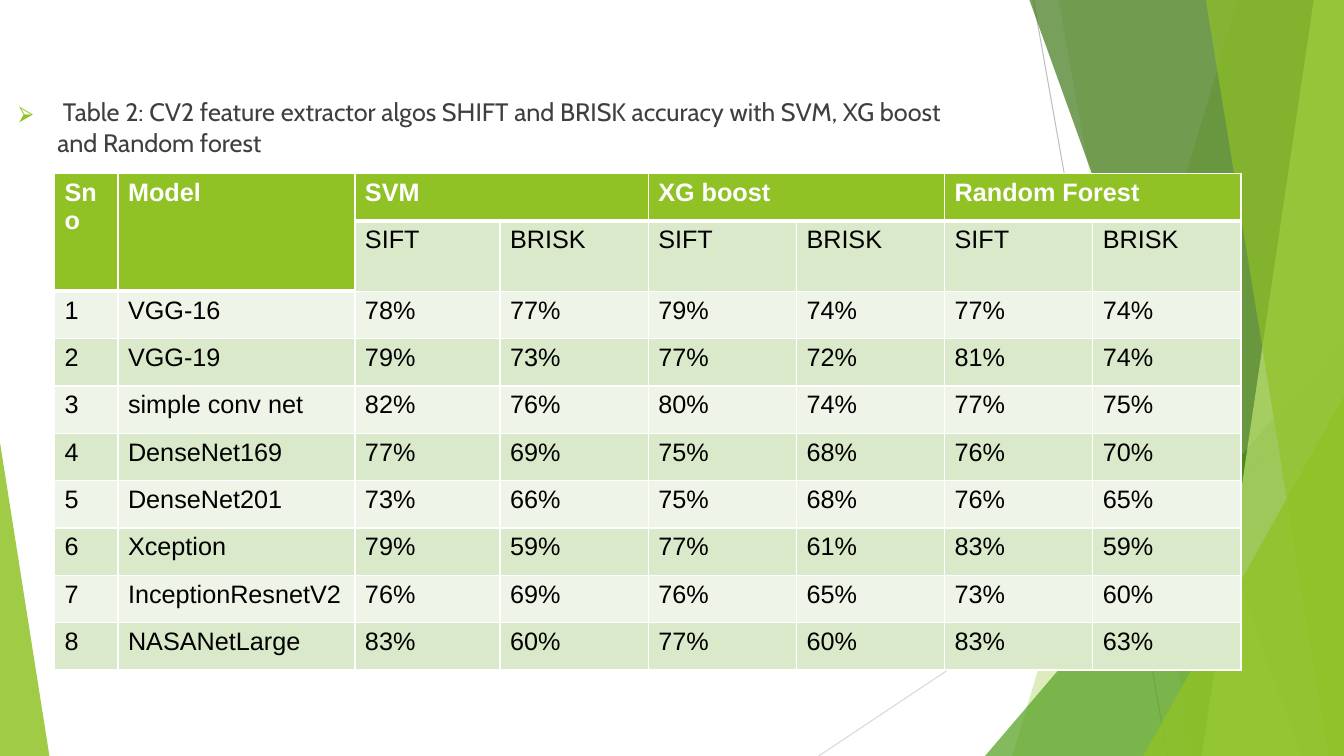
from pptx import Presentation
from pptx.dml.color import RGBColor
from pptx.enum.shapes import MSO_CONNECTOR, MSO_SHAPE
from pptx.oxml.ns import qn
from pptx.util import Inches, Pt
from lxml.etree import SubElement

WIDTH, HEIGHT = 13.33, 7.5
GREEN, BAND, PALE, WHITE = "90C226", "DBE9CB", "EEF4E7", "FFFFFF"
COLUMN_WIDTHS = [0.63, 2.35, 1.44] + [1.47] * 5
ROW_HEIGHTS = [0.47, 0.66] + [0.47] * 8
CLASSIFIERS = ["SVM", "XG boost", "Random Forest"]
EXTRACTORS = ["SIFT", "BRISK"]
ACCURACY = {
    "VGG-16": [78, 77, 79, 74, 77, 74],
    "VGG-19": [79, 73, 77, 72, 81, 74],
    "simple conv net": [82, 76, 80, 74, 77, 75],
    "DenseNet169": [77, 69, 75, 68, 76, 70],
    "DenseNet201": [73, 66, 75, 68, 76, 65],
    "Xception": [79, 59, 77, 61, 83, 59],
    "InceptionResnetV2": [76, 69, 76, 65, 73, 60],
    "NASANetLarge": [83, 60, 77, 60, 83, 63],
}


def rgb(color):
    return RGBColor.from_string(color)


def paint(shape, color, opacity):
    """Plain translucent fill without outline or shadow."""
    shape.shadow.inherit = False
    shape.line.fill.background()
    shape.fill.solid()
    shape.fill.fore_color.rgb = rgb(color)
    color_node = shape.fill._xPr.find(qn("a:solidFill"))[0]
    SubElement(color_node, qn("a:alpha"), val=str(opacity * 1000))


def add_hairline(slide, start, end, color):
    points = [Inches(value) for value in start + end]
    line = slide.shapes.add_connector(MSO_CONNECTOR.STRAIGHT, *points)
    line.line.color.rgb = rgb(color)
    line.line.width = Pt(0.75)
    SubElement(line._element.spPr, qn("a:effectLst"))


def add_facet(slide, top_x, bottom_x, color, opacity):
    """Full-height panel from a slanted left side to the right edge."""
    builder = slide.shapes.build_freeform(Inches(top_x), 0)
    corners = [(WIDTH, 0), (WIDTH, HEIGHT), (bottom_x, HEIGHT)]
    builder.add_line_segments([(Inches(x), Inches(y)) for x, y in corners])
    paint(builder.convert_to_shape(), color, opacity)


def add_corner(slide, left, top, width, apex, color, opacity):
    """Triangle standing on the bottom edge."""
    shape = slide.shapes.add_shape(
        MSO_SHAPE.ISOSCELES_TRIANGLE,
        Inches(left), Inches(top), Inches(width), Inches(HEIGHT - top))
    shape.adjustments[0] = apex
    paint(shape, color, opacity)


def add_caption(slide, text):
    box = slide.shapes.add_textbox(
        Inches(0.09), Inches(0.91), Inches(9.4), Inches(0.8))
    box.text_frame.word_wrap = True
    paragraph = box.text_frame.paragraphs[0]
    paragraph.text = text
    paragraph.font.name, paragraph.font.size = "Cabin", Pt(18)
    paragraph.font.color.rgb = rgb("3F3F3F")
    # Green arrow bullet with a hanging indent
    properties = paragraph._p.get_or_add_pPr()
    properties.set("marL", str(Inches(0.38)))
    properties.set("indent", str(-Inches(0.38)))
    bullet = [("buClr", {}), ("buSzPct", {"val": "80000"}),
              ("buFont", {"typeface": "Noto Sans Symbols"}),
              ("buChar", {"char": "⮚"})]
    for position, (tag, attributes) in enumerate(bullet):
        node = SubElement(properties, qn("a:" + tag), attributes)
        properties.insert(position, node)
    SubElement(properties.find(qn("a:buClr")), qn("a:srgbClr"), val=GREEN)


def set_borders(cell, bottom):
    properties = cell._tc.get_or_add_tcPr()
    for position, side in enumerate("LRTB"):
        width = bottom if side == "B" else 1
        line = SubElement(properties, qn("a:ln" + side), w=str(Pt(width)))
        fill = SubElement(line, qn("a:solidFill"))
        SubElement(fill, qn("a:srgbClr"), val=WHITE)
        properties.insert(position, line)


def style_cell(cell, text, fill, heading):
    cell.text = text
    cell.fill.solid()
    cell.fill.fore_color.rgb = rgb(fill)
    font = cell.text_frame.paragraphs[0].font
    font.name, font.size, font.bold = "Arial", Pt(18), heading
    font.color.rgb = rgb(WHITE if heading else "000000")
    set_borders(cell, 3 if heading else 1)


def add_accuracy_table(slide):
    header = ["Sno", "Model"]
    for classifier in CLASSIFIERS:
        header += [classifier, ""]
    rows = [header, ["", ""] + EXTRACTORS * len(CLASSIFIERS)]
    for number, (model, values) in enumerate(ACCURACY.items(), 1):
        rows.append([str(number), model] + [f"{value}%" for value in values])

    table = slide.shapes.add_table(
        len(rows), len(header), Inches(0.54), Inches(1.72),
        Inches(sum(COLUMN_WIDTHS)), Inches(sum(ROW_HEIGHTS))).table
    for column, width in zip(table.columns, COLUMN_WIDTHS):
        column.width = Inches(width)
    for row, height in zip(table.rows, ROW_HEIGHTS):
        row.height = Inches(height)
    for r, row in enumerate(rows):
        for c, text in enumerate(row):
            heading = r == 0 or (r == 1 and c < 2)
            fill = GREEN if heading else BAND if r % 2 else PALE
            style_cell(table.cell(r, c), text, fill, heading)
    # Number and model span two rows, each classifier two columns
    for c in (0, 1):
        table.cell(0, c).merge(table.cell(1, c))
    for c in range(2, len(header), 2):
        table.cell(0, c).merge(table.cell(0, c + 1))


def main():
    presentation = Presentation()
    presentation.slide_width = Inches(WIDTH)
    presentation.slide_height = Inches(HEIGHT)
    slide = presentation.slides.add_slide(presentation.slide_layouts[6])

    # Faceted backdrop, back to front
    add_hairline(slide, (10.25, 0), (11.58, HEIGHT), "BFBFBF")
    add_hairline(slide, (WIDTH, 4.03), (8.12, HEIGHT), "D8D8D8")
    add_facet(slide, 12.28, 10.04, GREEN, 30)
    add_facet(slide, 10.5, 11.83, GREEN, 20)
    add_corner(slide, 9.77, 3.33, 3.56, 1, "54A021", 72)
    add_facet(slide, 10.21, 12.91, "3F7818", 70)
    add_facet(slide, 13.03, 11.92, "BFE471", 70)
    add_facet(slide, 11.96, 13.18, GREEN, 65)
    add_corner(slide, 11.34, 3.93, 1.99, 1, GREEN, 80)
    add_corner(slide, 0, 4.39, 0.49, 0, GREEN, 85)

    # Content
    add_caption(slide, " Table 2: CV2 feature extractor algos SHIFT and BRISK "
                       "accuracy with SVM, XG boost and Random forest")
    add_accuracy_table(slide)
    presentation.save("out.pptx")


if __name__ == "__main__":
    main()
